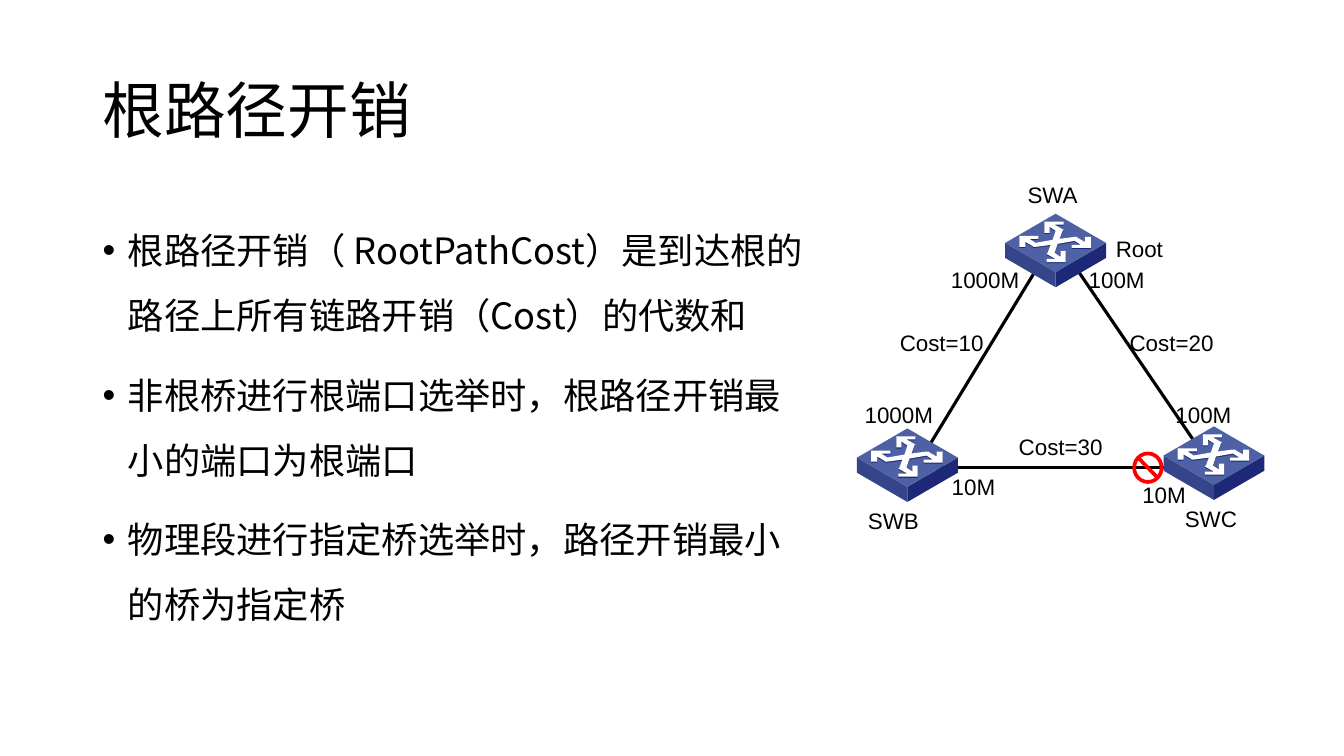
from lxml.etree import SubElement
from pptx import Presentation
from pptx.dml.color import RGBColor
from pptx.enum.shapes import MSO_CONNECTOR as Connector, MSO_SHAPE as Preset
from pptx.enum.text import MSO_ANCHOR as Anchor, PP_ALIGN as Align
from pptx.oxml.ns import qn
from pptx.util import Inches, Pt

# The slide is a grid of square cells, 1333 columns by 750 rows
COLUMNS, ROWS = 1333, 750
CELL = Inches(0.01)
COLORS = {
    "text": "000000",
    "link": "000000",
    "right side": "1D2977",
    "left side": "36458A",
    "top": "4D61A4",
    "arrow shadow": "1D2977",
    "arrows": "FFFFFF",
    "blocked": "FF0000",
}
CHINESE, LATIN = "Noto Sans CJK SC", "Arial"

presentation = Presentation()
presentation.slide_width = COLUMNS * CELL
presentation.slide_height = ROWS * CELL
slide = presentation.slides.add_slide(presentation.slide_layouts[6])
shapes = slide.shapes


def add_text(place, paragraphs, font_name, size, anchor=Anchor.TOP, **paragraph_format):
    """Add a wrapped text box at (column, row, columns, rows) and return its paragraphs."""
    frame = shapes.add_textbox(*(cells * CELL for cells in place)).text_frame
    frame.word_wrap = True
    frame.vertical_anchor = anchor
    for index, text in enumerate(paragraphs):
        paragraph = frame.add_paragraph() if index else frame.paragraphs[0]
        for name, value in paragraph_format.items():
            setattr(paragraph, name, value)
        run = paragraph.add_run()
        run.text = text
        for name, value in {"name": font_name, "size": Pt(size)}.items():
            setattr(run.font, name, value)
        run.font.color.rgb = RGBColor.from_string(COLORS["text"])
        SubElement(run.font._element, qn("a:ea"), typeface=font_name)
    return frame.paragraphs


def paint(shape, color):
    shape.shadow.inherit = False
    shape.fill.solid()
    shape.fill.fore_color.rgb = RGBColor.from_string(COLORS[color])
    shape.line.fill.background()


# Title and bullets
add_text((92, 40, 1150, 145), ["根路径开销"], CHINESE, 44, Anchor.MIDDLE, line_spacing=0.9)
bullets = add_text(
    (92, 200, 724, 476),
    [
        "根路径开销（ RootPathCost）是到达根的路径上所有链路开销（Cost）的代数和",
        "非根桥进行根端口选举时，根路径开销最小的端口为根端口",
        "物理段进行指定桥选举时，路径开销最小的桥为指定桥",
    ],
    CHINESE, 25.9, line_spacing=1.5,
)
for index, paragraph in enumerate(bullets):
    properties = paragraph._p.get_or_add_pPr()
    properties.set("marL", str(25 * CELL))
    properties.set("indent", str(-25 * CELL))
    SubElement(properties, qn("a:buFont"), typeface=LATIN)
    SubElement(properties, qn("a:buChar"), char="•")
    if index:
        paragraph.space_before = Pt(10)

# Links between the switches
for ends in [(918, 448, 1028, 267), (926, 464, 1170, 464), (1068, 267, 1186, 440)]:
    link = shapes.add_connector(Connector.STRAIGHT, *(end * CELL for end in ends))
    link.line.width = Pt(2.25)
    link.line.color.rgb = RGBColor.from_string(COLORS["link"])
    SubElement(link._element.spPr, qn("a:effectLst"))

# Switch icon, in cells from its top left corner; half a turn completes the arrows
half_arrows = [
    (85, 23), (79, 23), (79, 28), (72, 24), (71, 23), (69, 23), (54, 25), (57, 17),
    (58, 16), (56, 15), (49, 11), (58, 11), (58, 8), (39, 8), (39, 19), (44, 19),
    (44, 13), (50, 17), (47, 26), (30, 29), (24, 25), (33, 25), (33, 22), (14, 22),
]
arrows = half_arrows + [(99 - x, 56 - y) for x, y in half_arrows]
switch_faces = {
    "right side": [(100, 29), (100, 44), (50, 73), (50, 58)],
    "left side": [(50, 58), (50, 73), (0, 44), (0, 29)],
    "top": [(100, 29), (50, 58), (0, 29), (50, 0)],
    "arrow shadow": [(x, y + 1) for x, y in arrows],
    "arrows": arrows,
}
for column, row in [(850, 425), (1154, 423), (997, 212)]:
    for face, points in switch_faces.items():
        builder = shapes.build_freeform(*points[0], scale=CELL)
        builder.add_line_segments(points[1:], close=True)
        paint(builder.convert_to_shape(column * CELL, row * CELL), face)

# Blocked port
blocked = shapes.add_shape(Preset.NO_SYMBOL, *(cells * CELL for cells in (1123, 448, 31, 32)))
blocked.adjustments[0] = 0.12
paint(blocked, "blocked")

# Labels: text, column, row, columns
labels = [
    ("SWA", 973, 175, 142),
    ("SWB", 815, 498, 142),
    ("SWC", 1130, 496, 142),
    ("Root", 1059, 228, 142),
    ("1000M", 918, 259, 118),
    ("100M", 1068, 259, 79),
    ("1000M", 840, 393, 103),
    ("10M", 926, 464, 79),
    ("100M", 1154, 393, 79),
    ("10M", 1115, 472, 79),
    ("Cost=10", 863, 322, 142),
    ("Cost=20", 1091, 322, 142),
    ("Cost=30", 981, 425, 142),
]
for text, column, row, columns in labels:
    add_text((column, row, columns, 37), [text], LATIN, 16, alignment=Align.CENTER)

presentation.save("out.pptx")
